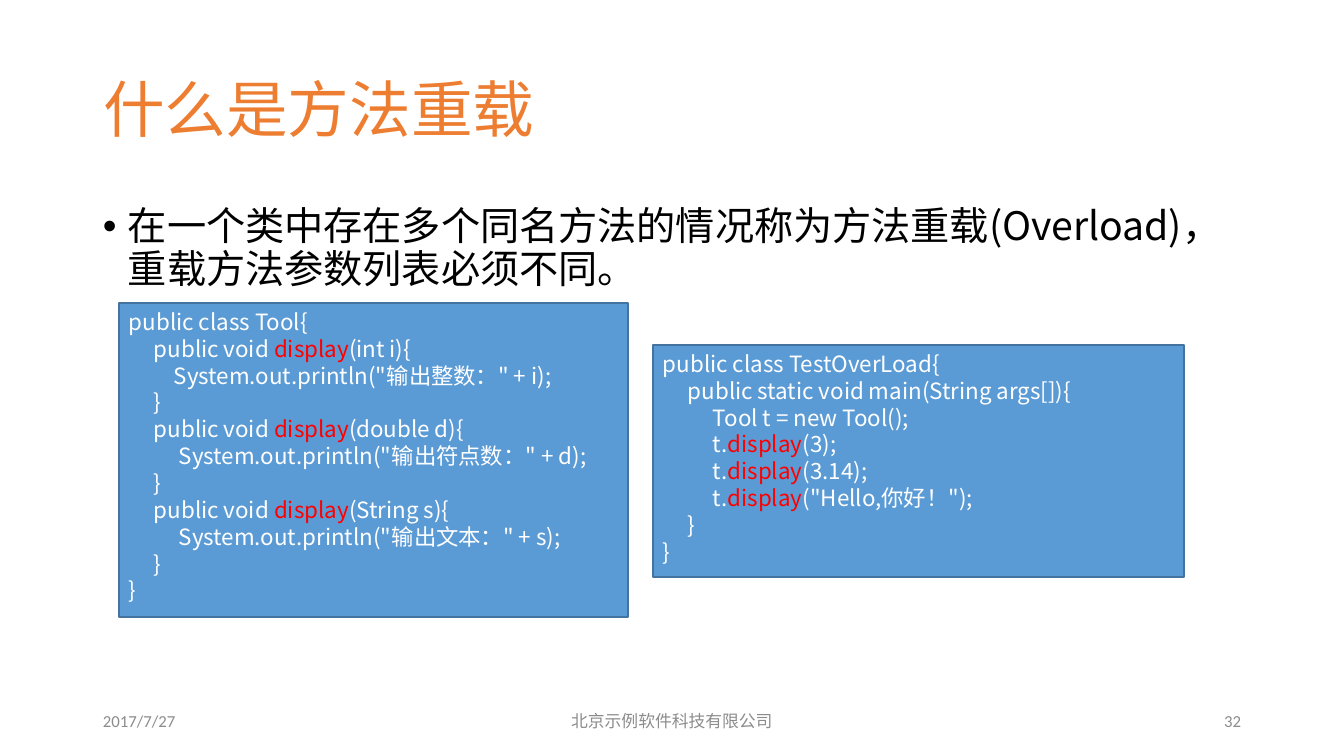
from lxml.etree import SubElement
from pptx import Presentation
from pptx.dml.color import RGBColor
from pptx.enum.shapes import MSO_SHAPE as Shape
from pptx.enum.text import MSO_ANCHOR as Anchor, MSO_AUTO_SIZE as AutoSize, PP_ALIGN as Align
from pptx.oxml.ns import qn
from pptx.util import Emu, Pt

ORANGE = RGBColor(0xED, 0x7D, 0x31)
BLACK = RGBColor(0, 0, 0)
GRAY = RGBColor(0x8C, 0x8C, 0x8C)
WHITE = RGBColor(0xFF, 0xFF, 0xFF)
RED = RGBColor(0xFF, 0, 0)
BLUE = RGBColor(0x5B, 0x9B, 0xD5)
DARK_BLUE = RGBColor(0x43, 0x73, 0x9E)
CJK, LATIN = "Noto Sans CJK SC", "Calibri"

TITLE = "什么是方法重载"
DEFINITION = "在一个类中存在多个同名方法的情况称为方法重载(Overload)，重载方法参数列表必须不同。"
OVERLOADED = "display"
TOOL_CODE = """\
public class Tool{
     public void display(int i){
         System.out.println("输出整数：" + i);
     }
     public void display(double d){
          System.out.println("输出符点数：" + d);
     }
     public void display(String s){
          System.out.println("输出文本：" + s);
     }
}"""
TEST_CODE = """\
public class TestOverLoad{
     public static void main(String args[]){
          Tool t = new Tool();
          t.display(3);
          t.display(3.14);
          t.display("Hello,你好！");
     }
}"""
# Boxes are left, top, width, height in px
CODE_PANELS = [
    (TOOL_CODE, (119, 303, 509, 314)),
    (TEST_CODE, (653, 345, 531, 232)),
]
FOOTERS = [
    ("2017/7/27", LATIN, Align.LEFT, 93, 302),
    ("北京示例软件科技有限公司", CJK, Align.CENTER, 445, 454),
    ("32", LATIN, Align.RIGHT, 949, 302),
]
FOOTER_TOP, FOOTER_HEIGHT = 701, 40
BULLET_INDENT = 25


def px(length):
    return Emu(round(length * 914400 / 100.8))


def format_paragraph(paragraph, size, color, align=Align.LEFT, face=CJK):
    paragraph.alignment = align
    font = paragraph.font
    font.size, font.name = Pt(size), face
    font.color.rgb = color
    defaults = paragraph._p.pPr.find(qn("a:defRPr"))
    SubElement(defaults, qn("a:ea")).set("typeface", face)


def add_text(slide, text, box):
    frame = slide.shapes.add_textbox(*map(px, box)).text_frame
    frame.word_wrap = True
    frame.text = text
    return frame


def add_title(slide):
    title = slide.shapes.title
    title.left, title.top, title.width, title.height = map(px, (93, 40, 876, 146))
    frame = title.text_frame
    frame.text = TITLE
    frame.auto_size = AutoSize.NONE
    frame.vertical_anchor = Anchor.MIDDLE
    frame.paragraphs[0].line_spacing = 0.9
    format_paragraph(frame.paragraphs[0], 44, ORANGE)


def add_definition(slide):
    paragraph = add_text(slide, DEFINITION, (93, 202, 1159, 480)).paragraphs[0]
    paragraph.line_spacing = 0.9
    properties = paragraph._p.get_or_add_pPr()
    properties.set("marL", str(px(BULLET_INDENT)))
    properties.set("indent", str(px(-BULLET_INDENT)))
    SubElement(properties, qn("a:buFont")).set("typeface", "Arial")
    SubElement(properties, qn("a:buChar")).set("char", "•")
    format_paragraph(paragraph, 28, BLACK)


def add_code_panel(slide, code, box):
    """Add a filled panel of code with the overloaded method name in red."""
    panel = slide.shapes.add_shape(Shape.RECTANGLE, *map(px, box))
    panel.shadow.inherit = False
    panel.fill.solid()
    panel.fill.fore_color.rgb = BLUE
    panel.line.color.rgb = DARK_BLUE
    panel.line.width = Pt(1)
    frame = panel.text_frame
    frame.word_wrap = True
    frame.vertical_anchor = Anchor.TOP
    for index, line in enumerate(code.split("\n")):
        paragraph = frame.add_paragraph() if index else frame.paragraphs[0]
        format_paragraph(paragraph, 16, WHITE, Align.JUSTIFY)
        for part in filter(None, line.partition(OVERLOADED)):
            run = paragraph.add_run()
            run.text = part
            if part == OVERLOADED:
                run.font.color.rgb = RED


def add_footers(slide):
    for text, face, align, left, width in FOOTERS:
        frame = add_text(slide, text, (left, FOOTER_TOP, width, FOOTER_HEIGHT))
        frame.vertical_anchor = Anchor.MIDDLE
        format_paragraph(frame.paragraphs[0], 12, GRAY, align, face)


def main():
    deck = Presentation()
    deck.slide_width, deck.slide_height = px(1344), px(756)
    slide = deck.slides.add_slide(deck.slide_layouts.get_by_name("Title Only"))
    add_title(slide)
    add_definition(slide)
    add_footers(slide)
    for code, box in CODE_PANELS:
        add_code_panel(slide, code, box)
    deck.save("out.pptx")


if __name__ == "__main__":
    main()
